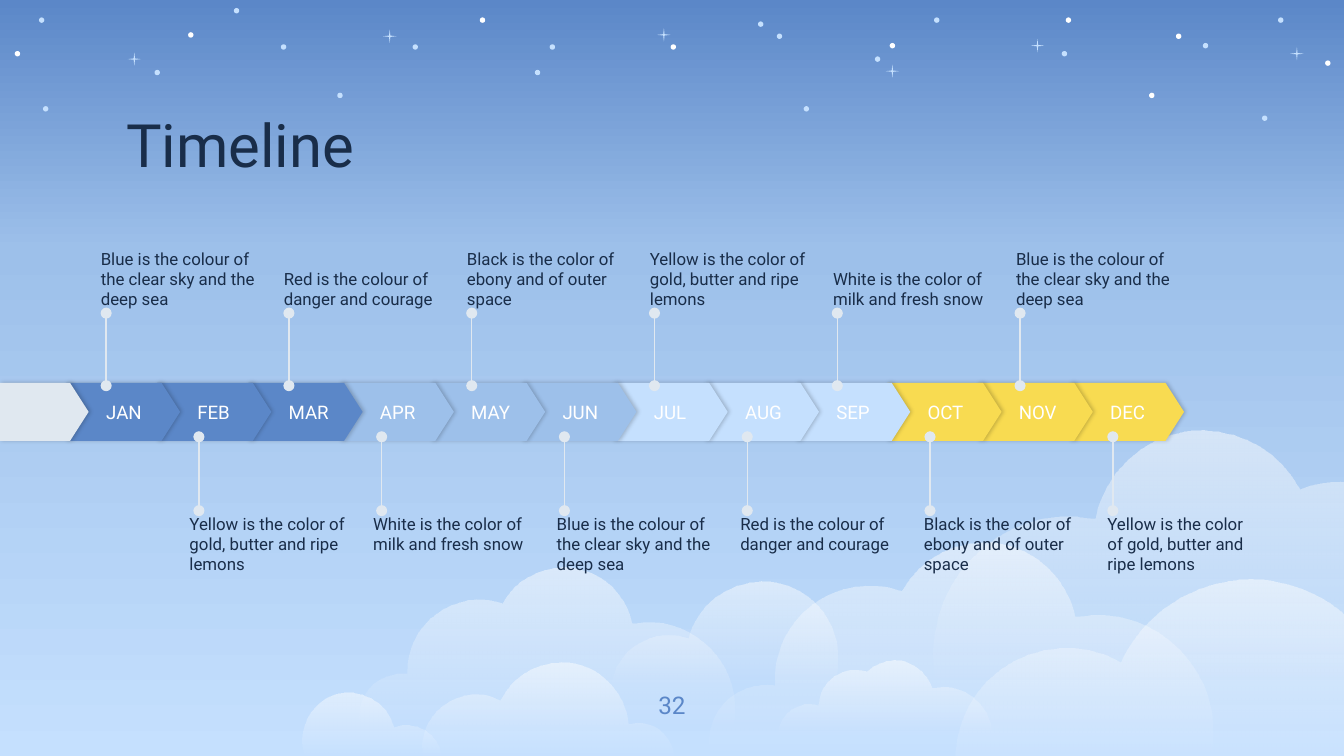
"""Builds a monthly timeline slide under a starry sky with clouds."""
from dataclasses import dataclass
from math import atan2, ceil, cos, sin, tan

from pptx import Presentation
from pptx.dml.color import RGBColor
from pptx.enum.shapes import MSO_CONNECTOR, MSO_SHAPE
from pptx.enum.text import MSO_ANCHOR, PP_ALIGN
from pptx.oxml import parse_xml
from pptx.oxml.ns import nsdecls, qn
from pptx.util import Cm, Pt

ELLIPSE, CHEVRON, STRAIGHT = MSO_SHAPE.OVAL, MSO_SHAPE.PENTAGON, MSO_CONNECTOR.STRAIGHT
TOP, MIDDLE, BOTTOM = MSO_ANCHOR.TOP, MSO_ANCHOR.MIDDLE, MSO_ANCHOR.BOTTOM
LEFT, CENTER = PP_ALIGN.LEFT, PP_ALIGN.CENTER


@dataclass(frozen=True)
class Theme:
    """Colours, font and type sizes of the slide."""
    font: str = "Roboto"
    ink: str = "192D49"
    blue: str = "5B87C8"
    sky: str = "9DC0EA"
    pale: str = "C5E0FE"
    yellow: str = "F8DB51"
    mist: str = "E0E8F0"
    white: str = "FFFFFF"
    title: float = 32
    number: float = 13
    month: float = 10
    note: float = 9


THEME = Theme()
SKY_STOPS = [(0, THEME.blue, 100), (33, THEME.sky, 100), (100, THEME.pale, 100)]
CLOUD_STOPS = [(0, THEME.white, 51), (100, THEME.white, 0)]

QUARTERS = [
    (THEME.blue, ["JAN", "FEB", "MAR"]),
    (THEME.sky, ["APR", "MAY", "JUN"]),
    (THEME.pale, ["JUL", "AUG", "SEP"]),
    (THEME.yellow, ["OCT", "NOV", "DEC"]),
]
BLUE = "Blue is the colour of the clear sky and the deep sea"
RED = "Red is the colour of danger and courage"
BLACK = "Black is the color of ebony and of outer space"
YELLOW = "Yellow is the color of gold, butter and ripe lemons"
WHITE = "White is the color of milk and fresh snow"
NOTE_ROWS = [
    {"notes": [BLUE, RED, BLACK, YELLOW, WHITE, BLUE], "pins": (0.79, 7.59),
     "ends": (2.87, 2.33), "lefts": (0.75, 7.56), "top": 1.72, "anchor": BOTTOM},
    {"notes": [YELLOW, WHITE, BLUE, RED, BLACK, YELLOW], "pins": (1.48, 8.28),
     "ends": (3.8, 3.25), "lefts": (1.41, 8.24), "top": 3.82, "anchor": TOP},
]
NOTE_WIDTH, NOTE_HEIGHT, NOTE_LIMIT = 1.29, 0.58, 9.3
MONTH_LEFTS = (0.49, 7.96)
BAND_TOP, BAND_HEIGHT, MONTH_WIDTH, LEAD_WIDTH = 2.85, 0.43, 0.85, 0.66

PALE_STARS = [
    (9.51, 0.13), (5.64, 0.16), (7.9, 0.38), (6.95, 0.13), (4.09, 0.33), (3.07, 0.33),
    (2.09, 0.33), (0.29, 0.13), (1.15, 0.52), (5.78, 0.25), (6.51, 0.42), (1.74, 0.06),
    (3.98, 0.52), (8.95, 0.32), (2.51, 0.69), (5.98, 0.79), (0.32, 0.79), (9.39, 0.86),
]
WHITE_STARS = [
    (7.93, 0.13), (8.75, 0.25), (3.57, 0.13), (1.4, 0.24), (9.86, 0.45),
    (0.11, 0.38), (4.99, 0.33), (6.62, 0.32), (8.55, 0.69),
]
STAR_SIZE = 0.04
SPARKLES = [(0.95, 0.39), (7.67, 0.29), (9.6, 0.35), (4.89, 0.21), (2.85, 0.22), (6.59, 0.48)]
SPARKLE_RADIUS, SPARKLE_WAIST = 0.05, 0.01
CLOUDS = [
    ((2.67, 4.22, 2.8, 1.2),
     [(5.45, 5.42), (5.28, 4.82), (4.7, 4.64), (4.1, 4.23), (3.74, 4.49),
      (3.34, 4.51), (3.03, 5.01), (2.8, 5.07), (2.69, 5.42)]),
    ((5.79, 4.92, 1.59, 0.54),
     [(7.38, 5.46), (7.25, 5.2), (6.93, 5.12), (6.79, 4.95), (6.45, 5),
      (6.23, 5.02), (6.09, 5.25), (5.92, 5.26), (5.79, 5.46)]),
    ((4.55, 4.33, 1.68, 0.77),
     [(6.19, 5.1), (5.88, 4.37), (5.12, 4.75), (4.8, 4.76), (4.55, 5.1)]),
    ((5.28, 4.03, 3.74, 1.61),
     [(9, 5.64), (8.77, 4.83), (8, 4.59), (7.19, 4.05), (6.71, 4.4),
      (6.18, 4.42), (5.77, 5.1), (5.46, 5.17), (5.3, 5.64)]),
    ((3.14, 4.92, 1.88, 0.72),
     [(5.01, 5.64), (4.92, 5.44), (4.67, 5.38), (4.12, 4.93), (3.72, 5.21),
      (3.42, 5.18), (3.15, 5.64)]),
    ((2.25, 5.15, 1.03, 0.47),
     [(2.27, 5.62), (2.47, 5.18), (2.93, 5.41), (3.12, 5.41), (3.28, 5.62)]),
    ((7.11, 4.31, 4, 1.52),
     [(11.1, 5.84), (10.91, 5.42), (10.36, 5.28), (9.2, 4.32), (8.34, 4.93),
      (7.72, 4.85), (7.13, 5.84)]),
    ((6.94, 3.2, 4.4, 1.89),
     [(6.97, 5.09), (7.24, 4.14), (8.15, 3.86), (9.11, 3.22), (9.67, 3.64),
      (10.29, 3.65), (10.78, 4.45), (11.15, 4.54), (11.32, 5.09)]),
]
WIDEST_CURVE = 2


def size(inches):
    return Cm(inches * 2.54)


def spread(ends, count):
    first, last = ends
    return [first + (last - first) * index / (count - 1) for index in range(count)]


def paint_gradient(fill, holder, stops):
    marks = "".join(
        f'<a:gs pos="{place * 1000}"><a:srgbClr val="{color}">'
        f'<a:alpha val="{alpha * 1000}"/></a:srgbClr></a:gs>'
        for place, color, alpha in stops)
    fill.solid()
    holder.replace(holder.find(qn("a:solidFill")), parse_xml(
        f'<a:gradFill rotWithShape="1" {nsdecls("a")}><a:gsLst>{marks}</a:gsLst>'
        '<a:lin ang="5400000" scaled="0"/></a:gradFill>'))


def paint(shape, color):
    shape.shadow.inherit = False
    shape.fill.solid()
    shape.fill.fore_color.rgb = RGBColor.from_string(color)
    shape.line.fill.background()


def add_outline(shapes, points):
    corners = [(size(x), size(y)) for x, y in points]
    builder = shapes.build_freeform(*corners[0])
    builder.add_line_segments(corners[1:], close=True)
    return builder.convert_to_shape()


def arc_curves(start, middle, end):
    ratio = (end - start) / (middle - start)
    center = start - (start - middle) * (ratio - abs(ratio) ** 2) / (2j * ratio.imag)
    turns = [(middle - center) / (start - center), (end - center) / (middle - center)]
    sweep = sum(atan2(turn.imag, turn.real) for turn in turns)
    pieces = ceil(abs(sweep) / WIDEST_CURVE)
    angle = sweep / pieces
    reach = 4 / 3 * tan(angle / 4)
    spoke = start - center
    for _ in range(pieces):
        turned = spoke * complex(cos(angle), sin(angle))
        yield center + spoke * (1 + 1j * reach), center + turned * (1 - 1j * reach), center + turned
        spoke = turned


def add_cloud(shapes, area, knots):
    left, top, width, height = area
    right, bottom = left + width, top + height
    cloud = add_outline(shapes, [(left, top), (right, top), (right, bottom), (left, bottom)])
    path = cloud._element.spPr.find(".//" + qn("a:path"))
    joints = [complex(x - left, y - top) for x, y in knots]

    def mark(point):
        return f'<a:pt x="{size(point.real)}" y="{size(point.imag)}"/>'

    steps = [f'<a:moveTo {nsdecls("a")}>{mark(joints[0])}</a:moveTo>']
    for index in range(0, len(joints) - 2, 2):
        for curve in arc_curves(*joints[index:index + 3]):
            steps.append(f'<a:cubicBezTo {nsdecls("a")}>{"".join(map(mark, curve))}</a:cubicBezTo>')
    steps.append(f'<a:close {nsdecls("a")}/>')
    path[:] = [parse_xml(step) for step in steps]
    paint(cloud, THEME.white)
    paint_gradient(cloud.fill, cloud._element.spPr, CLOUD_STOPS)


def add_sparkle(shapes, left, top):
    x, y = left + SPARKLE_RADIUS, top + SPARKLE_RADIUS
    tips = [(0, -1), (-1, 0), (0, 1), (1, 0)]
    points = []
    for tip, following in zip(tips, tips[1:] + tips[:1]):
        points.append((x + tip[0] * SPARKLE_RADIUS, y + tip[1] * SPARKLE_RADIUS))
        points.append((x + (tip[0] + following[0]) * SPARKLE_WAIST / 2,
                       y + (tip[1] + following[1]) * SPARKLE_WAIST / 2))
    paint(add_outline(shapes, points), THEME.pale)


def write(box, text, points, color, anchor=TOP, align=LEFT, inset=0, spacing=None):
    frame = box.text_frame
    frame.word_wrap = True
    frame.vertical_anchor = anchor
    frame.margin_left = size(inset)
    frame.margin_top = frame.margin_right = frame.margin_bottom = 0
    para = frame.paragraphs[0]
    para.alignment = align
    para.line_spacing = spacing
    span = para.add_run()
    span.text = text
    span.font.name = THEME.font
    span.font.size = Pt(points)
    span.font.color.rgb = RGBColor.from_string(color)


def add_text(page, area, *content, **layout):
    write(page.shapes.add_textbox(*map(size, area)), *content, **layout)


def add_chevron(page, left, width, color):
    area = (left, BAND_TOP, width, BAND_HEIGHT)
    chevron = page.shapes.add_shape(CHEVRON, *map(size, area))
    paint(chevron, color)
    chevron.adjustments[0] = 0.32
    chevron._element.spPr.find(qn("a:effectLst")).append(parse_xml(
        f'<a:outerShdw {nsdecls("a")} blurRad="{Pt(2.2)}" dist="{Pt(0.8)}" dir="0" '
        'rotWithShape="0"><a:srgbClr val="000000"><a:alpha val="20000"/></a:srgbClr></a:outerShdw>'))
    return chevron


def add_pin(page, x, ends):
    pin = page.shapes.add_connector(STRAIGHT, size(x), size(ends[0]), size(x), size(ends[1]))
    pin.line.color.rgb = RGBColor.from_string(THEME.mist)
    pin.line.width = Pt(0.75)
    properties = pin._element.spPr
    for tag in ("headEnd", "tailEnd"):
        properties.find(qn("a:ln")).append(parse_xml(f'<a:{tag} {nsdecls("a")} type="oval"/>'))
    properties.append(parse_xml(f'<a:effectLst {nsdecls("a")}/>'))


def add_scenery(page):
    sky = page.background.fill
    sky.solid()
    paint_gradient(sky, page._element.find(".//" + qn("p:bgPr")), SKY_STOPS)
    clouds = page.shapes.add_group_shape().shapes
    for area, knots in CLOUDS:
        add_cloud(clouds, area, knots)
    stars = page.shapes.add_group_shape().shapes
    for color, places in [(THEME.pale, PALE_STARS), (THEME.white, WHITE_STARS)]:
        for left, top in places:
            paint(stars.add_shape(ELLIPSE, *map(size, (left, top, STAR_SIZE, STAR_SIZE))), color)
    for left, top in SPARKLES:
        add_sparkle(stars, left, top)


def main():
    deck = Presentation()
    deck.slide_width, deck.slide_height = size(10), size(5.625)
    page = deck.slides.add_slide(deck.slide_layouts[6])
    add_scenery(page)
    add_text(page, (0.94, 0.91, 6.83, 0.43), "Timeline", THEME.title, THEME.ink,
             anchor=BOTTOM, spacing=0.9)
    add_text(page, (4.7, 5.03, 0.6, 0.43), "32", THEME.number, THEME.blue,
             anchor=MIDDLE, align=CENTER)

    months = [(name, color) for color, names in QUARTERS for name in names]
    lefts = spread(MONTH_LEFTS, len(months))
    for (name, color), left in reversed(list(zip(months, lefts))):
        chevron = add_chevron(page, left, MONTH_WIDTH, color)
        write(chevron, name, THEME.month, THEME.white, anchor=MIDDLE, inset=0.3)
    add_chevron(page, 0, LEAD_WIDTH, THEME.mist)

    for row in NOTE_ROWS:
        count = len(row["notes"])
        places = zip(row["notes"], spread(row["pins"], count), spread(row["lefts"], count))
        for note, x, left in places:
            add_pin(page, x, row["ends"])
            area = (left, row["top"], min(NOTE_WIDTH, NOTE_LIMIT - left), NOTE_HEIGHT)
            add_text(page, area, note, THEME.note, THEME.ink, anchor=row["anchor"])
    deck.save("out.pptx")


if __name__ == "__main__":
    main()
